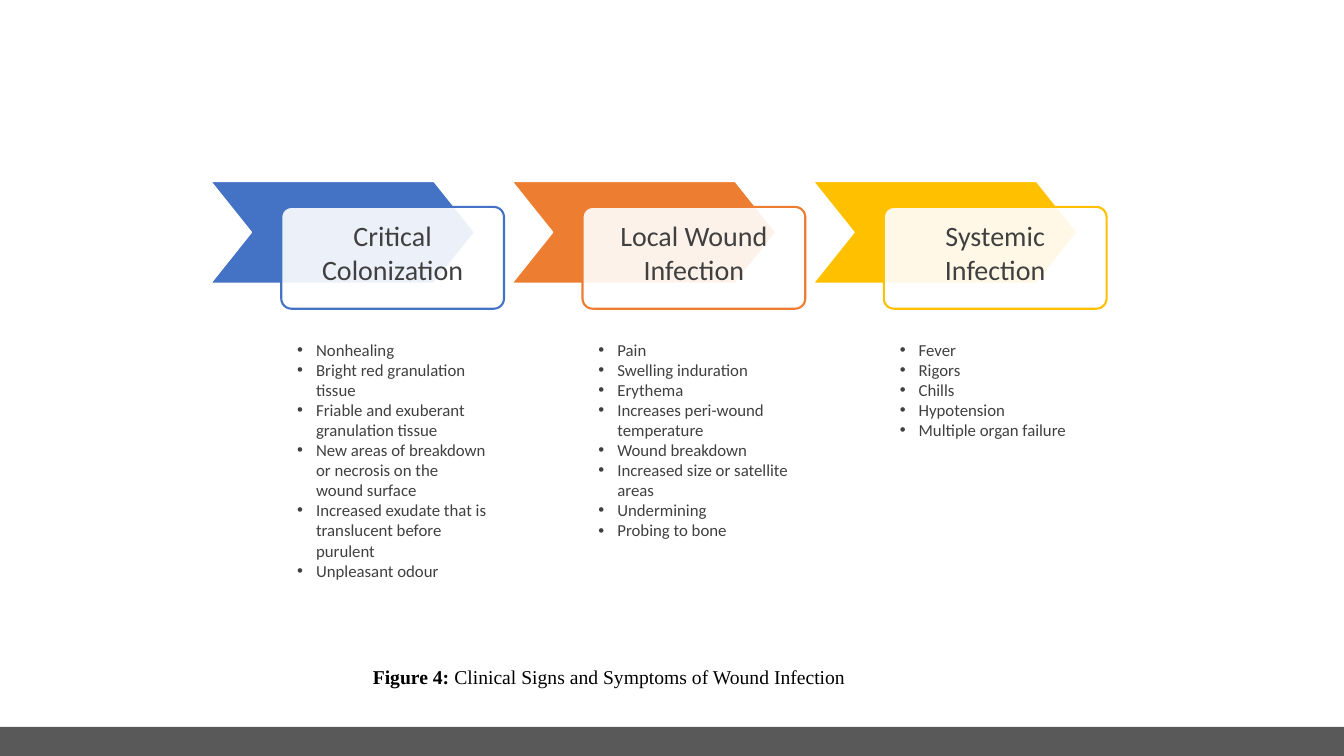
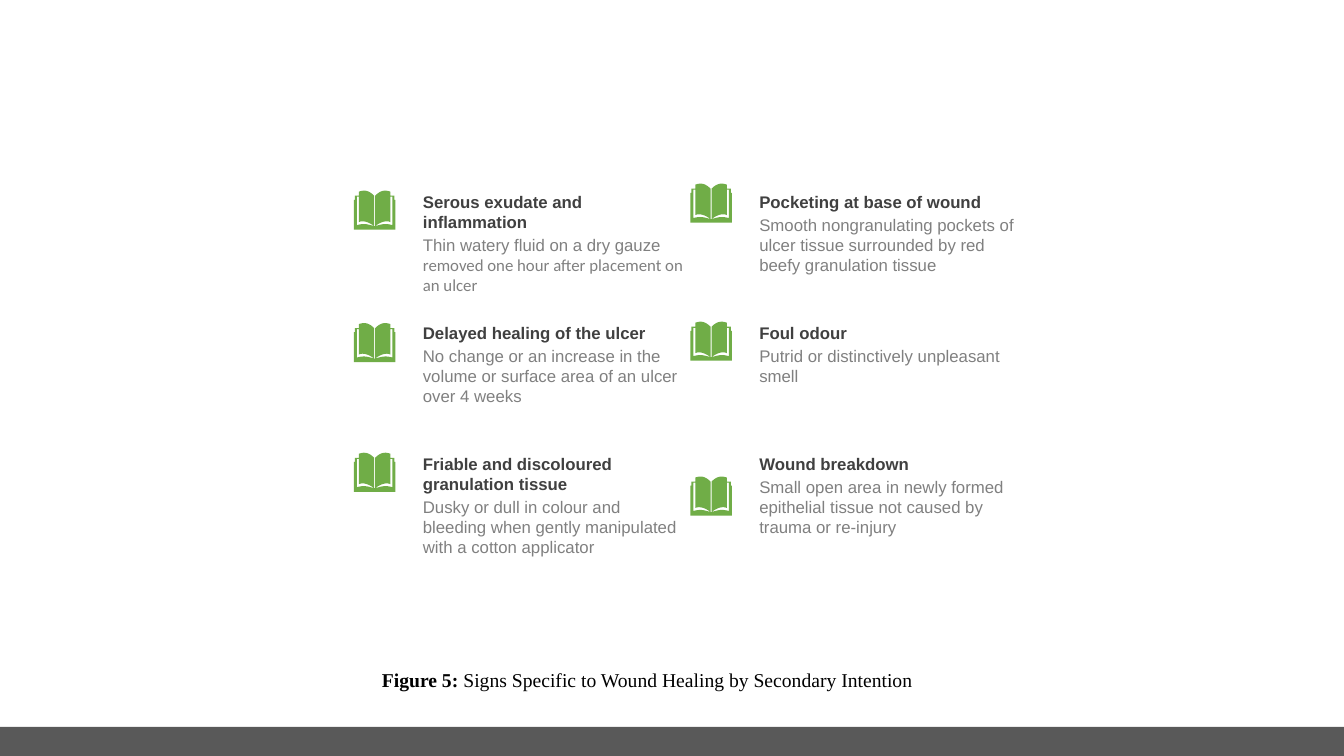
from dataclasses import dataclass

from lxml import etree
from pptx import Presentation
from pptx.dml.color import RGBColor
from pptx.enum.shapes import MSO_SHAPE
from pptx.enum.text import MSO_ANCHOR, PP_ALIGN
from pptx.oxml.ns import qn
from pptx.util import Pt

RECTANGLE = MSO_SHAPE.RECTANGLE
CHEVRON = MSO_SHAPE.CHEVRON
ROUNDED = MSO_SHAPE.ROUNDED_RECTANGLE
TOP = MSO_ANCHOR.TOP
LEFT = PP_ALIGN.LEFT
CENTER = PP_ALIGN.CENTER


@dataclass(frozen=True)
class Theme:
    """Colours, fonts and type sizes shared by the slides."""
    white: str = "FFFFFF"
    black: str = "000000"
    band: str = "595959"
    dark: str = "404040"
    grey: str = "808080"
    blue: str = "4472C4"
    orange: str = "ED7D31"
    gold: str = "FFC000"
    green: str = "70AD47"
    stage_font: str = "Calibri"
    sign_font: str = "Arial"
    caption_font: str = "Times New Roman"
    stage_size: float = 20
    caption_size: float = 14
    body_size: float = 12
    body_leading: float = 14.35


THEME = Theme()
SLIDE_WIDTH, SLIDE_HEIGHT = 960, 540
BAND_TOP = 519.1

STAGES = [
    ("Critical Colonization", THEME.blue, [
        "Nonhealing",
        "Bright red granulation tissue",
        "Friable and exuberant granulation tissue",
        "New areas of breakdown or necrosis on the wound surface",
        "Increased exudate that is translucent before purulent",
        "Unpleasant odour"]),
    ("Local Wound Infection", THEME.orange, [
        "Pain",
        "Swelling induration",
        "Erythema",
        "Increases peri-wound temperature",
        "Wound breakdown",
        "Increased size or satellite areas",
        "Undermining",
        "Probing to bone"]),
    ("Systemic Infection", THEME.gold, [
        "Fever", "Rigors", "Chills", "Hypotension", "Multiple organ failure"]),
]

SIGNS = [
    ("Serous exudate and inflammation",
     [[("Thin watery fluid on a dry gauze ", THEME.sign_font),
       ("removed one hour after placement on an ulcer", THEME.stage_font)]], 3),
    ("Pocketing at base of wound",
     [[("Smooth nongranulating pockets of ulcer tissue surrounded by red "
        "beefy granulation tissue", THEME.sign_font)]], -2),
    ("Delayed healing of the ulcer",
     [[("No change or an increase in the volume or surface area of an ulcer "
        "over 4 weeks", THEME.sign_font)]], 4),
    ("Foul odour",
     [[("Putrid or distinctively unpleasant smell", THEME.sign_font)]], 3),
    ("Friable and discoloured granulation tissue",
     [[("Dusky or dull in colour and", THEME.sign_font)],
      [("bleeding when gently manipulated with a cotton applicator",
        THEME.sign_font)]], 3),
    ("Wound breakdown",
     [[("Small open area in newly formed epithelial tissue not caused by "
        "trauma or re-injury", THEME.sign_font)]], 20),
]


def colour(value):
    """Return a colour object for a hexadecimal value."""
    return RGBColor.from_string(value)


def paint(shape, fill, line=None, width=1):
    """Give a shape a plain fill and an optional outline."""
    shape.shadow.inherit = False
    shape.fill.solid()
    shape.fill.fore_color.rgb = colour(fill)
    if line:
        shape.line.color.rgb = colour(line)
        shape.line.width = Pt(width)
    else:
        shape.line.fill.background()


def add_block(slide, kind, box, fill, line=None, width=1):
    """Add a painted preset shape in a box given in points."""
    shape = slide.shapes.add_shape(kind, *map(Pt, box))
    paint(shape, fill, line, width)
    return shape


def add_text_frame(slide, box, wrap=True):
    """Add a text box and return its text frame."""
    text_frame = slide.shapes.add_textbox(*map(Pt, box)).text_frame
    text_frame.word_wrap = wrap
    return text_frame


def format_run(run, font, size, tint, bold=False):
    """Set the type of one run."""
    run.font.name = font
    run.font.size = Pt(size)
    run.font.color.rgb = colour(tint)
    run.font.bold = bold


def paragraphs_for(text_frame, count):
    """Return the requested number of paragraphs of a fresh text frame."""
    added = [text_frame.add_paragraph() for _ in range(count - 1)]
    return [text_frame.paragraphs[0], *added]


def set_bullet(paragraph, indent):
    """Give a paragraph a hanging round bullet."""
    properties = paragraph._p.get_or_add_pPr()
    properties.set("marL", str(Pt(indent)))
    properties.set("indent", str(-Pt(indent)))
    etree.SubElement(properties, qn("a:buFont")).set("typeface", "Arial")
    etree.SubElement(properties, qn("a:buChar")).set("char", "•")


def set_opacity(shape, percent):
    """Set the opacity of a solid fill."""
    tint = shape.element.spPr.find(qn("a:solidFill"))[0]
    etree.SubElement(tint, qn("a:alpha")).set("val", str(percent * 1000))


def add_band(slide):
    """Place the bottom band on the layout that the slides share."""
    box = (0, BAND_TOP, SLIDE_WIDTH, SLIDE_HEIGHT - BAND_TOP)
    band = add_block(slide, RECTANGLE, box, THEME.band)
    slide.slide_layout.shapes.element.append(band.element)


def add_caption(slide, box, label, text, wrap):
    """Add a figure caption with a bold label."""
    paragraph = add_text_frame(slide, box, wrap).paragraphs[0]
    for words, bold in ((label, True), (text, False)):
        run = paragraph.add_run()
        run.text = words
        format_run(run, THEME.caption_font, THEME.caption_size, THEME.black, bold)


def add_stage(slide, left, top, name, accent, symptoms):
    """Draw one infection stage: chevron, name card and symptom list."""
    height = 72.7
    chevron = add_block(slide, CHEVRON, (left, top, 188.6, height),
                        accent, THEME.white)
    chevron.adjustments[0] = 0.4

    card = add_block(slide, ROUNDED, (left + 50.4, top + 18.2, 159.1, height),
                     THEME.white, accent, 1.5)
    card.adjustments[0] = 0.1
    set_opacity(card, 90)
    text_frame = card.text_frame
    text_frame.word_wrap = True
    text_frame.vertical_anchor = TOP
    text_frame.margin_left = text_frame.margin_right = Pt(9.5)
    text_frame.margin_top = Pt(6.5)
    text_frame.margin_bottom = 0
    text_frame.text = name
    paragraph = text_frame.paragraphs[0]
    paragraph.alignment = CENTER
    format_run(paragraph.runs[0], THEME.stage_font, THEME.stage_size, THEME.dark)

    text_frame = add_text_frame(slide, (left + 54.7, top + 109.4, 150.5, 196))
    for paragraph, symptom in zip(paragraphs_for(text_frame, len(symptoms)), symptoms):
        paragraph.text = symptom
        paragraph.line_spacing = Pt(THEME.body_leading)
        set_bullet(paragraph, 13.5)
        format_run(paragraph.runs[0], THEME.stage_font, THEME.body_size, THEME.dark)


def curve(start, first, second, end, steps=8):
    """Return points along a cubic curve, without its start."""
    points = []
    for step in range(1, steps + 1):
        t = step / steps
        weights = ((1 - t) ** 3, 3 * t * (1 - t) ** 2, 3 * t * t * (1 - t), t ** 3)
        points.append(tuple(
            sum(weight * point[axis] for weight, point
                in zip(weights, (start, first, second, end)))
            for axis in (0, 1)))
    return points


def book_outline():
    """Return the book outline around its spine, mirrored from one half."""
    half = [
        (0.5, 35),
        *curve((0.5, 35), (7.5, 33), (10.5, 32), (17.5, 34)),
        (17.5, 6), (15.5, 6), (15.5, 31),
        *curve((15.5, 31), (11.5, 29), (5.5, 31), (0.5, 35)),
        (0.5, 5),
        *curve((0.5, 5), (3.5, 2), (6.5, 0), (10.5, 0)),
        *curve((10.5, 0), (11.5, 0), (13.5, 0.3), (15.5, 1)),
        (15.5, 5), (19.5, 5), (19.5, 9), (20.5, 9), (20.5, 38.5),
    ]
    return half + [(-x, y) for x, y in reversed(half)]


def add_book(slide, left, top, width):
    """Draw an open book of the given width."""
    unit = width / 41
    points = [(Pt((x + 20.5) * unit), Pt(y * unit)) for x, y in book_outline()]
    builder = slide.shapes.build_freeform(*points[0])
    builder.add_line_segments(points[1:])
    paint(builder.convert_to_shape(Pt(left), Pt(top)), THEME.green)


def add_sign(slide, left, top, heading, details, icon_shift):
    """Draw one healing sign: book icon, heading and description."""
    add_book(slide, left, top + icon_shift, 29.7)
    text_frame = add_text_frame(slide, (left + 42.2, top, 204.5, 82))
    title, *body = paragraphs_for(text_frame, 1 + len(details))
    title.text = heading
    title.space_after = Pt(2)
    format_run(title.runs[0], THEME.sign_font, THEME.body_size, THEME.dark, True)
    for paragraph, parts in zip(body, details):
        for words, font in parts:
            run = paragraph.add_run()
            run.text = words
            format_run(run, font, THEME.body_size, THEME.grey)
    for paragraph in text_frame.paragraphs:
        paragraph.alignment = LEFT
        paragraph.line_spacing = Pt(THEME.body_leading)


def build_stages_slide(slide):
    """Show the infection stages side by side."""
    for column, stage in enumerate(STAGES):
        add_stage(slide, 150.5 + 215.2 * column, 129.6, *stage)
    add_caption(slide, (259.2, 471.6, 358, 24.5), "Figure 4: ",
                "Clinical Signs and Symptoms of Wound Infection", False)


def build_signs_slide(slide):
    """Show the healing signs in a grid of two columns."""
    for index, sign in enumerate(SIGNS):
        row, column = divmod(index, 2)
        add_sign(slide, 252.8 + 240.3 * column, 133.2 + 93.6 * row, *sign)
    add_caption(slide, (265.7, 473.8, 480, 24.5), "Figure 5: ",
                "Signs Specific to Wound Healing by Secondary Intention", True)


def main():
    """Build and save the presentation."""
    presentation = Presentation()
    presentation.slide_width = Pt(SLIDE_WIDTH)
    presentation.slide_height = Pt(SLIDE_HEIGHT)
    blank = presentation.slide_layouts[6]
    stages_slide = presentation.slides.add_slide(blank)
    add_band(stages_slide)
    build_stages_slide(stages_slide)
    build_signs_slide(presentation.slides.add_slide(blank))
    presentation.save("out.pptx")


if __name__ == "__main__":
    main()
